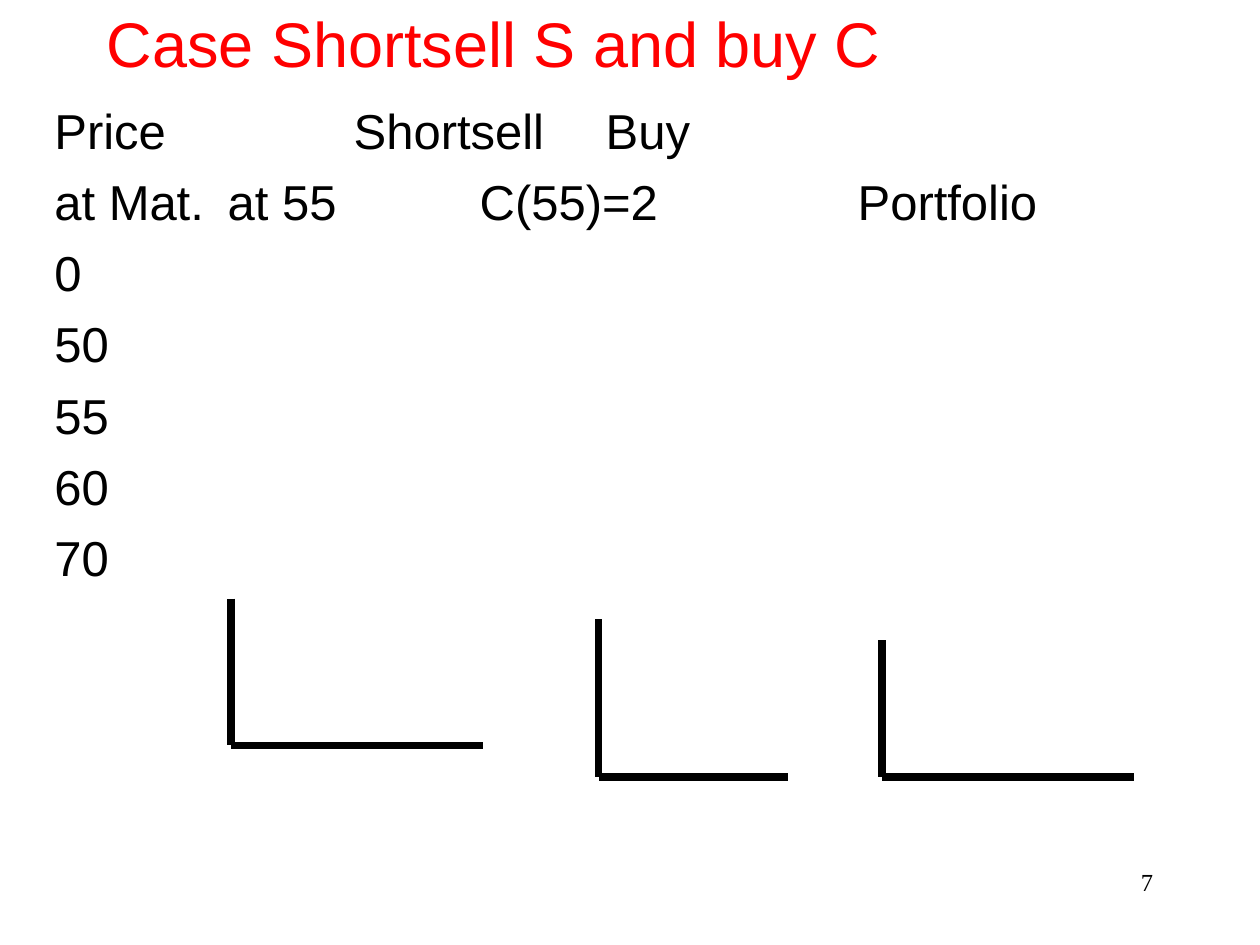
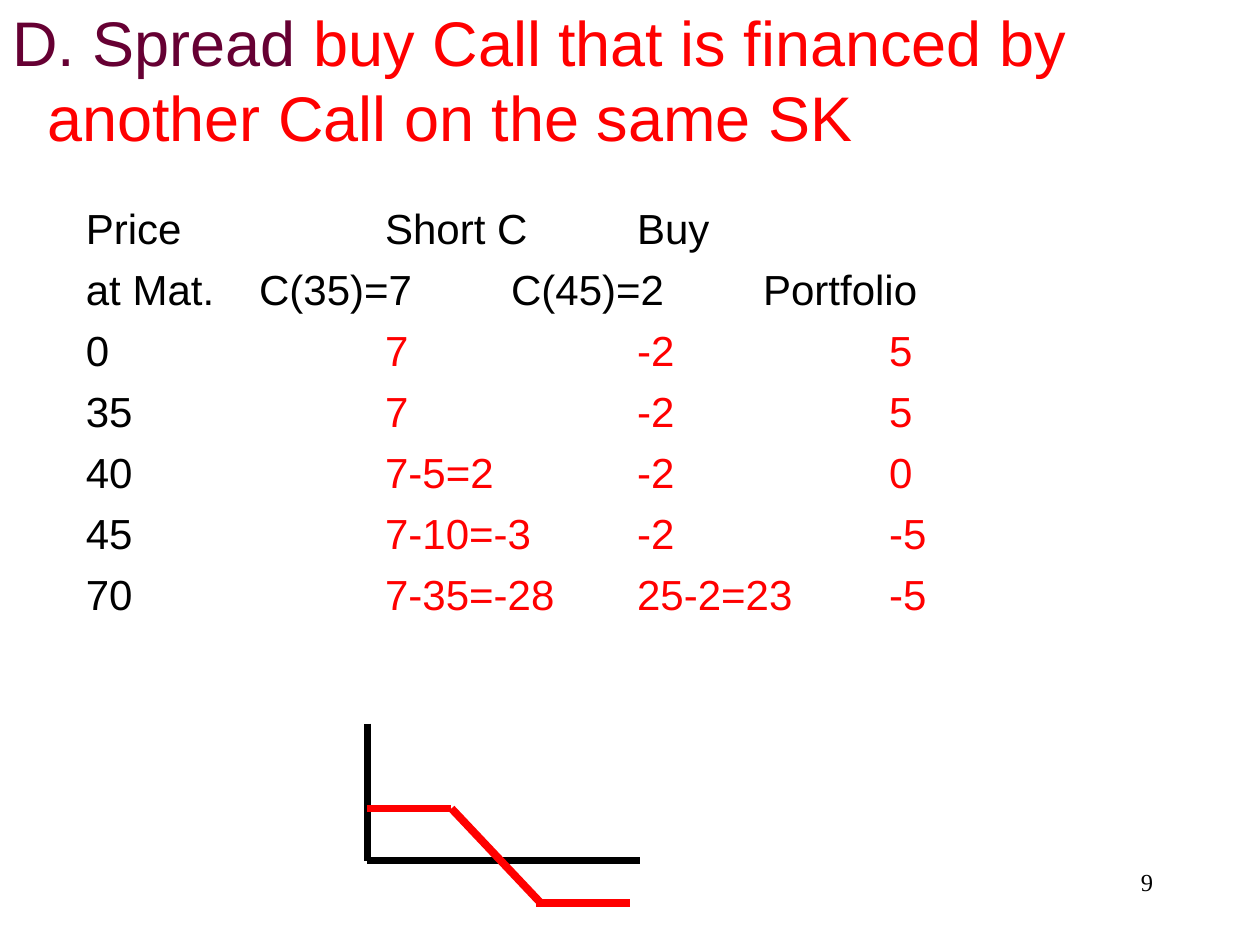
from dataclasses import dataclass
from typing import Sequence

from lxml import etree
from pptx import Presentation
from pptx.dml.color import RGBColor
from pptx.enum.shapes import MSO_CONNECTOR
from pptx.enum.text import MSO_ANCHOR, PP_ALIGN
from pptx.oxml.ns import qn
from pptx.slide import Slide
from pptx.util import Pt

STRAIGHT = MSO_CONNECTOR.STRAIGHT
TOP, MIDDLE = MSO_ANCHOR.TOP, MSO_ANCHOR.MIDDLE
LEFT, RIGHT = PP_ALIGN.LEFT, PP_ALIGN.RIGHT

BLACK, RED, PLUM = "000000", "FF0000", "660033"
SANS, SERIF = "Arial", "Times New Roman"
LINE_WIDTH = 4.5
TAB_STEP = 72

Point = tuple[float, float]


@dataclass(frozen=True)
class Box:
    left: float
    top: float
    width: float
    height: float


@dataclass(frozen=True)
class Piece:
    text: str
    color: str


Line = Sequence[Piece]


@dataclass(frozen=True)
class TextStyle:
    size: float
    font: str = SANS
    anchor: MSO_ANCHOR = TOP
    align: PP_ALIGN = LEFT
    hanging: float = 0
    space_before: float = 0


@dataclass(frozen=True)
class Axes:
    origin: Point
    top: float
    right: float


@dataclass(frozen=True)
class StrategySlide:
    number: int
    title_box: Box
    title: Line
    title_hanging: float
    table_box: Box
    table_style: TextStyle
    rows: Sequence[Line]
    diagrams: Sequence[Axes]
    payoff: Sequence[tuple[Point, Point]] = ()


NUMBER_BOX = Box(516, 492, 150, 36)
NUMBER_STYLE = TextStyle(14, SERIF, align=RIGHT)


def black_row(text: str) -> Line:
    return [Piece(text, BLACK)]


def payoff_row(price: int, payoffs: str) -> Line:
    return [Piece(f"{price}\t\t\t", BLACK), Piece(payoffs, RED)]


SLIDES = [
    StrategySlide(
        number=7,
        title_box=Box(54, 0, 606, 48),
        title=[Piece("Case Shortsell S and buy C", RED)],
        title_hanging=0,
        table_box=Box(24, 54, 696, 318),
        table_style=TextStyle(28, hanging=27, space_before=7),
        rows=[
            black_row(text)
            for text in (
                "Price\t\tShortsell\tBuy",
                "at Mat.\tat 55\t\tC(55)=2\t\tPortfolio",
                "0", "50", "55", "60", "70",
            )
        ],
        diagrams=[
            Axes((132, 426), 342, 276),
            Axes((342, 444), 354, 450),
            Axes((504, 444), 366, 648),
        ],
    ),
    StrategySlide(
        number=9,
        title_box=Box(0, 0, 720, 90),
        title=[
            Piece("D. Spread ", PLUM),
            Piece("buy Call that is financed by another Call on the same SK", RED),
        ],
        title_hanging=20,
        table_box=Box(42, 112.3, 678, 324),
        table_style=TextStyle(24, hanging=27, space_before=6),
        rows=[
            black_row("Price\t\tShort C\tBuy"),
            black_row("at Mat.\tC(35)=7\tC(45)=2\tPortfolio"),
            payoff_row(0, "7\t\t-2\t\t5"),
            payoff_row(35, "7\t\t-2\t\t5"),
            payoff_row(40, "7-5=2\t\t-2\t\t0"),
            payoff_row(45, "7-10=-3\t-2\t\t-5"),
            payoff_row(70, "7-35=-28\t25-2=23\t-5"),
        ],
        diagrams=[Axes((210, 491.75), 413.5, 366)],
        payoff=[
            ((210, 462), (258, 462)),
            ((306, 516), (360, 516)),
            ((258, 462), (309, 516)),
        ],
    ),
]


def rgb(color: str) -> RGBColor:
    return RGBColor.from_string(color)


def format_indent(paragraph, hanging: float) -> None:
    """Set a hanging indent and the distance between tab stops."""
    properties = paragraph._p.get_or_add_pPr()
    properties.set("marL", str(Pt(hanging)))
    properties.set("indent", str(-Pt(hanging)))
    properties.set("defTabSz", str(Pt(TAB_STEP)))


def add_text(slide: Slide, box: Box, lines: Sequence[Line], style: TextStyle) -> None:
    shape = slide.shapes.add_textbox(
        Pt(box.left), Pt(box.top), Pt(box.width), Pt(box.height)
    )
    frame = shape.text_frame
    frame.word_wrap = True
    frame.vertical_anchor = style.anchor
    for index, line in enumerate(lines):
        paragraph = frame.add_paragraph() if index else frame.paragraphs[0]
        if style.hanging:
            format_indent(paragraph, style.hanging)
        paragraph.alignment = style.align
        if index:
            paragraph.space_before = Pt(style.space_before)
        paragraph.font.name = style.font
        paragraph.font.size = Pt(style.size)
        if len(line) == 1:
            paragraph.font.color.rgb = rgb(line[0].color)
        for piece in line:
            run = paragraph.add_run()
            run.text = piece.text
            if len(line) > 1:
                run.font.color.rgb = rgb(piece.color)


def add_line(slide: Slide, start: Point, end: Point, color: str) -> None:
    connector = slide.shapes.add_connector(
        STRAIGHT, Pt(start[0]), Pt(start[1]), Pt(end[0]), Pt(end[1])
    )
    connector.line.color.rgb = rgb(color)
    connector.line.width = Pt(LINE_WIDTH)
    etree.SubElement(connector._element.spPr, qn("a:effectLst"))


def add_axes(slide: Slide, axes: Axes) -> None:
    x, y = axes.origin
    add_line(slide, (x, axes.top), axes.origin, BLACK)
    add_line(slide, axes.origin, (axes.right, y), BLACK)


def add_strategy_slide(presentation, content: StrategySlide) -> None:
    slide = presentation.slides.add_slide(presentation.slide_layouts[6])
    title_style = TextStyle(36, anchor=MIDDLE, hanging=content.title_hanging)
    add_text(slide, NUMBER_BOX, [black_row(str(content.number))], NUMBER_STYLE)
    add_text(slide, content.title_box, [content.title], title_style)
    add_text(slide, content.table_box, content.rows, content.table_style)
    for axes in content.diagrams:
        add_axes(slide, axes)
    for start, end in content.payoff:
        add_line(slide, start, end, RED)


def main() -> None:
    presentation = Presentation()
    presentation.slide_width = Pt(720)
    presentation.slide_height = Pt(540)
    for content in SLIDES:
        add_strategy_slide(presentation, content)
    presentation.save("out.pptx")


if __name__ == "__main__":
    main()
